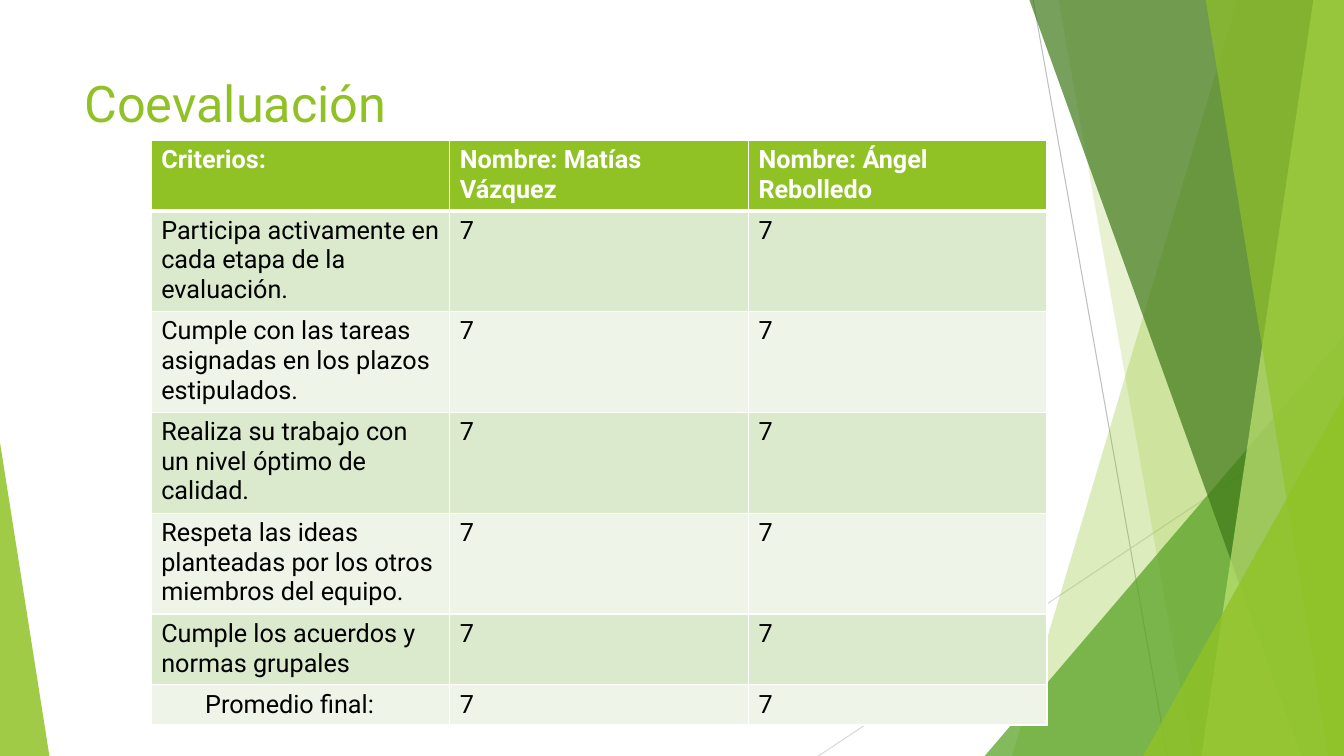
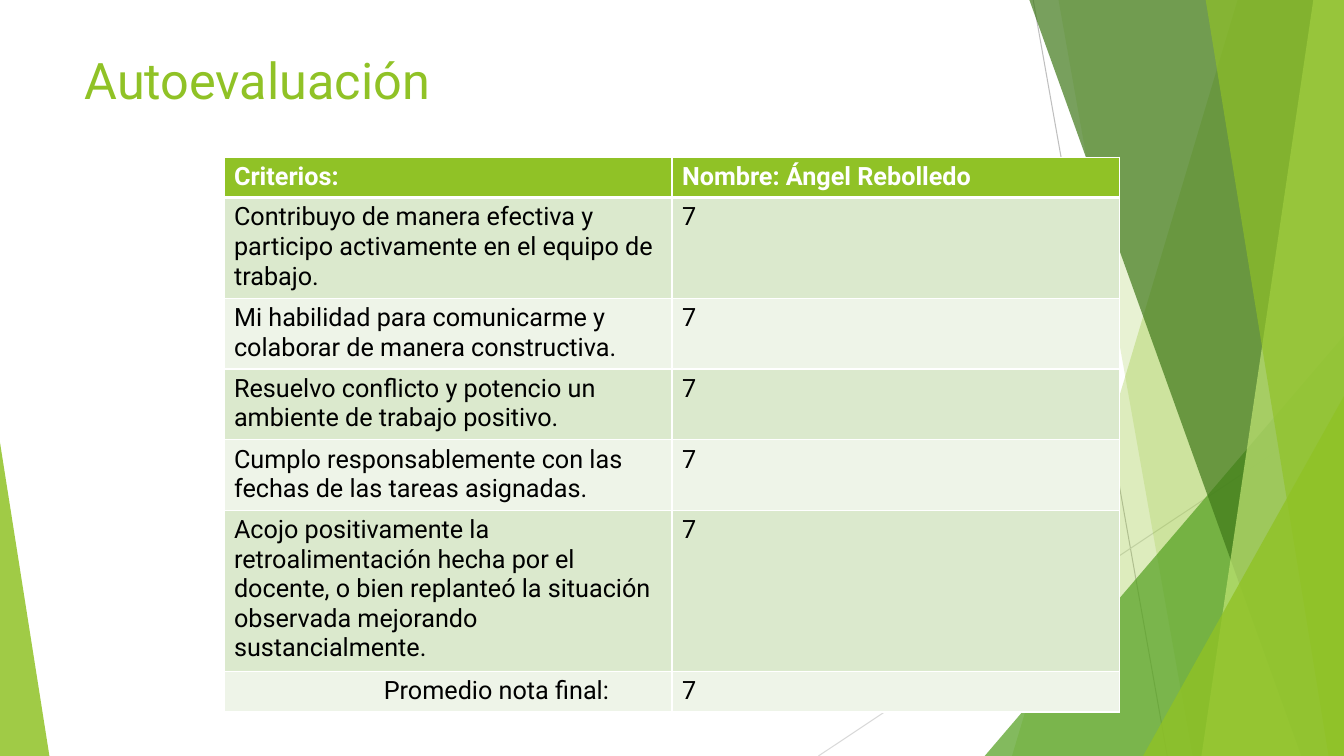
from dataclasses import dataclass

from lxml import etree
from pptx import Presentation
from pptx.dml.color import RGBColor
from pptx.enum.shapes import MSO_CONNECTOR, MSO_SHAPE
from pptx.enum.text import MSO_ANCHOR
from pptx.oxml.ns import qn
from pptx.util import Pt

STRAIGHT = MSO_CONNECTOR.STRAIGHT
PEAK = MSO_SHAPE.ISOSCELES_TRIANGLE
TOP = MSO_ANCHOR.TOP

# Shared style
WIDE, HIGH = 960, 540
FONT = "Roboto"
LIME = RGBColor(0x90, 0xC2, 0x26)
LEAF = RGBColor(0x54, 0xA0, 0x21)
MOSS = RGBColor(0x3F, 0x78, 0x19)
PALE = RGBColor(0xC0, 0xE4, 0x74)
SILVER = RGBColor(0xBF, 0xBF, 0xBF)
MIST = RGBColor(0xD9, 0xD9, 0xD9)
WHITE = RGBColor(0xFF, 0xFF, 0xFF)
BLACK = RGBColor(0, 0, 0)
BANDS = (RGBColor(0xEE, 0xF4, 0xE8), RGBColor(0xDB, 0xE9, 0xCD))
TITLE_SIZE, CELL_SIZE = 36, 18
TABLE_WIDTH = 640
LINE_STEP, PAD = 21.09, 3.6


@dataclass(frozen=True)
class Ray:
    start: tuple[float, float]
    end: tuple[float, float]
    color: RGBColor


@dataclass(frozen=True)
class Wedge:
    """Band from a slanted left edge to the right side of the slide."""
    head: float
    foot: float
    color: RGBColor
    alpha: int


@dataclass(frozen=True)
class Hill:
    """Right-angled triangle standing on the bottom of the slide."""
    left: float
    width: float
    height: float
    tip: float
    color: RGBColor
    alpha: int


@dataclass(frozen=True)
class Row:
    text: str
    lines: int
    indent: float = 0


@dataclass(frozen=True)
class Page:
    title: str
    title_top: float
    left: float
    top: float
    names: list[str]
    head_lines: int
    rows: list[Row]
    mark: str = "7"


RAYS = [
    Ray((738, 0), (833.8, HIGH), SILVER),
    Ray((WIDE, 290.2), (584.6, HIGH), MIST),
]
FACETS = [
    Wedge(884.2, 722.9, LIME, 30),
    Wedge(756, 851.8, LIME, 20),
    Hill(703.4, 256.6, 300.2, 1, LEAF, 72),
    Wedge(735.1, 929.5, MOSS, 70),
    Wedge(938.2, 858.2, PALE, 70),
    Wedge(861.1, 949, LIME, 65),
    Hill(816.5, 143.5, 257, 1, LIME, 80),
    Hill(0, 35.3, 223.9, 0, LIME, 85),
]

PAGES = [
    Page("Coevaluación", 48.2, 108, 100.1,
         ["Nombre: Matías Vázquez", "Nombre: Ángel Rebolledo"], 2, [
             Row("Participa activamente en cada etapa de la evaluación.", 3),
             Row("Cumple con las tareas asignadas en los plazos estipulados.", 3),
             Row("Realiza su trabajo con un nivel óptimo de calidad.", 3),
             Row("Respeta las ideas planteadas por los otros miembros del equipo.", 3),
             Row("Cumple los acuerdos y normas grupales", 2),
             Row("Promedio final:", 1, 31.4),
         ]),
    Page("Autoevaluación", 31.7, 160, 112.3,
         ["Nombre: Ángel Rebolledo"], 1, [
             Row("Contribuyo de manera efectiva y participo activamente en el "
                 "equipo de trabajo.", 3),
             Row("Mi habilidad para comunicarme y colaborar de manera "
                 "constructiva.", 2),
             Row("Resuelvo conflicto y potencio un ambiente de trabajo positivo.", 2),
             Row("Cumplo responsablemente con las fechas de las tareas asignadas.", 2),
             Row("Acojo positivamente la retroalimentación hecha por el docente, "
                 "o bien replanteó la situación observada mejorando "
                 "sustancialmente.", 5),
             Row("Promedio nota final:", 1, 107),
         ]),
]


# Text and fill helpers
def style(frame, size: float, color: RGBColor, bold: bool = False) -> None:
    for run in frame.paragraphs[0].runs:
        run.font.name = FONT
        run.font.size = Pt(size)
        run.font.bold = bold
        run.font.color.rgb = color


def tint(shape, color: RGBColor, alpha: int) -> None:
    shape.shadow.inherit = False
    shape.line.fill.background()
    shape.fill.solid()
    shape.fill.fore_color.rgb = color
    node = shape.element.spPr.find(qn("a:solidFill")).find(qn("a:srgbClr"))
    etree.SubElement(node, qn("a:alpha")).set("val", str(alpha * 1000))


# Backdrop
def draw_ray(shapes, ray: Ray) -> None:
    line = shapes.add_connector(
        STRAIGHT, *(Pt(v) for v in ray.start + ray.end))
    line.line.color.rgb = ray.color
    line.line.width = Pt(0.75)
    etree.SubElement(line.element.spPr, qn("a:effectLst"))


def draw_wedge(shapes, wedge: Wedge) -> None:
    top = Pt(-0.6)
    path = shapes.build_freeform(Pt(wedge.head), top)
    path.add_line_segments([(Pt(WIDE), top), (Pt(WIDE), Pt(HIGH)),
                            (Pt(wedge.foot), Pt(HIGH))], close=True)
    tint(path.convert_to_shape(), wedge.color, wedge.alpha)


def draw_hill(shapes, hill: Hill) -> None:
    shape = shapes.add_shape(PEAK, Pt(hill.left), Pt(HIGH - hill.height),
                             Pt(hill.width), Pt(hill.height))
    shape.adjustments[0] = hill.tip
    tint(shape, hill.color, hill.alpha)


def draw_backdrop(slide) -> None:
    shapes = slide.shapes.add_group_shape().shapes
    for ray in RAYS:
        draw_ray(shapes, ray)
    for facet in FACETS:
        if isinstance(facet, Wedge):
            draw_wedge(shapes, facet)
        else:
            draw_hill(shapes, facet)


# Title
def draw_title(slide, text: str, top: float) -> None:
    box = slide.shapes.add_textbox(Pt(53.3), Pt(top), Pt(676.8), Pt(103.7))
    frame = box.text_frame
    frame.word_wrap = True
    frame.vertical_anchor = TOP
    frame.text = text
    style(frame, TITLE_SIZE, LIME)


# Table
def add_edges(cell, index: int) -> None:
    props = cell._tc.get_or_add_tcPr()
    widths = {"L": 1, "R": 1, "T": 3 if index == 1 else 1,
              "B": 3 if index == 0 else 1}
    for side, width in widths.items():
        edge = etree.SubElement(props, qn(f"a:ln{side}"), w=str(Pt(width)))
        fill = etree.SubElement(edge, qn("a:solidFill"))
        etree.SubElement(fill, qn("a:srgbClr"), val=str(WHITE))


def fill_cell(cell, text: str, index: int, indent: float) -> None:
    head = index == 0
    add_edges(cell, index)
    cell.fill.solid()
    cell.fill.fore_color.rgb = LIME if head else BANDS[index % 2]
    cell.margin_left = Pt(2 * PAD + indent)
    cell.text_frame.text = text
    style(cell.text_frame, CELL_SIZE, WHITE if head else BLACK, head)


def draw_table(slide, page: Page) -> None:
    rows = [Row("Criterios:", page.head_lines)] + page.rows
    heights = [Pt(row.lines * LINE_STEP + 2 * PAD) for row in rows]
    count = len(page.names) + 1
    table = slide.shapes.add_table(
        len(rows), count, Pt(page.left), Pt(page.top),
        Pt(TABLE_WIDTH), sum(heights)).table
    table.horz_banding = False
    for index, row in enumerate(rows):
        table.rows[index].height = heights[index]
        marks = page.names if index == 0 else [page.mark] * len(page.names)
        for col, text in enumerate([row.text] + marks):
            fill_cell(table.cell(index, col), text, index,
                      0 if col else row.indent)


def main() -> None:
    deck = Presentation()
    deck.slide_width, deck.slide_height = Pt(WIDE), Pt(HIGH)
    for page in PAGES:
        slide = deck.slides.add_slide(deck.slide_layouts[6])
        draw_backdrop(slide)
        draw_title(slide, page.title, page.title_top)
        draw_table(slide, page)
    deck.save("out.pptx")


if __name__ == "__main__":
    main()
